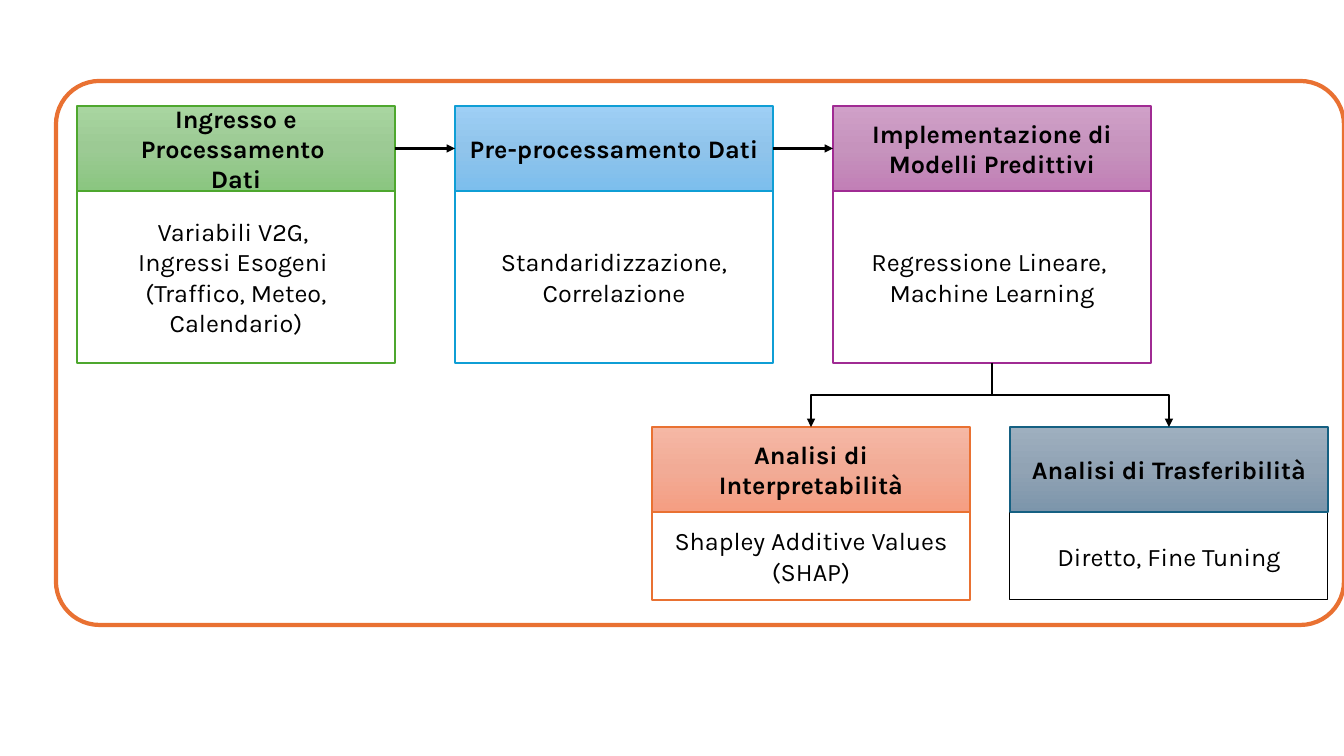
from dataclasses import dataclass

from lxml.etree import SubElement
from pptx import Presentation
from pptx.dml.color import RGBColor
from pptx.enum.shapes import MSO_CONNECTOR as Connector, MSO_SHAPE as Shape
from pptx.enum.text import MSO_ANCHOR as Anchor, PP_ALIGN as Align
from pptx.oxml.ns import qn
from pptx.util import Pt


@dataclass(frozen=True)
class Theme:
    font: str = "Karla"
    size: int = 18
    black: str = "000000"
    white: str = "FFFFFF"
    orange: str = "E97132"
    # outline, then the gradient from top to bottom
    green: tuple = ("4EA72E", "A8D5A0", "9CCA94", "8AC680")
    blue: tuple = ("0F9ED5", "9ECFF5", "90C4EB", "7CBEED")
    purple: tuple = ("A02B93", "D0A0C8", "C693BD", "C17FB6")
    coral: tuple = ("E97132", "F5B8A5", "F2AB96", "F59E82")
    slate: tuple = ("156082", "9EAFBF", "91A3B4", "7C95AB")


THEME = Theme()
CARD_WIDTH, HEADER_HEIGHT = 318, 85
TOP, LEFT, BOTTOM, RIGHT = range(4)


def px(length):
    return round(length * 12192000 / 1344)


def color(value):
    return RGBColor.from_string(value)


def add_box(slide, kind, left, top, width, height, line, line_width, fill=None):
    shape = slide.shapes.add_shape(kind, px(left), px(top), px(width), px(height))
    shape.shadow.inherit = False
    shape.line.color.rgb = color(line)
    shape.line.width = Pt(line_width)
    if fill:
        shape.fill.solid()
        shape.fill.fore_color.rgb = color(fill)
    else:
        shape.fill.background()
    return shape


def fill_gradient(shape, stops):
    """Fill the shape downwards with evenly spaced colours."""
    shape.fill.gradient()
    shape.fill.gradient_angle = 270
    stop_list = shape.element.spPr.find(qn("a:gradFill")).find(qn("a:gsLst"))
    for stop in list(stop_list):
        stop_list.remove(stop)
    for index, value in enumerate(stops):
        position = index * 100000 // (len(stops) - 1)
        stop = SubElement(stop_list, qn("a:gs"), pos=str(position))
        SubElement(stop, qn("a:srgbClr"), val=value)


def write_text(shape, text, bold=False):
    frame = shape.text_frame
    frame.word_wrap = True
    frame.vertical_anchor = Anchor.MIDDLE
    frame.text = text
    for paragraph in frame.paragraphs:
        paragraph.alignment = Align.CENTER
        for run in paragraph.runs:
            run.font.name = THEME.font
            run.font.size = Pt(THEME.size)
            run.font.bold = bold
            run.font.color.rgb = color(THEME.black)


def add_card(slide, left, top, body_height, palette, title, text,
             body_line=None, body_width=1.5, body_fill=THEME.white):
    """Add a titled card and return its header and body."""
    outline, *stops = palette
    body = add_box(slide, Shape.RECTANGLE, left, top + HEADER_HEIGHT, CARD_WIDTH,
                   body_height, body_line or outline, body_width, body_fill)
    write_text(body, text)
    header = add_box(slide, Shape.RECTANGLE, left, top, CARD_WIDTH,
                     HEADER_HEIGHT, outline, 1)
    fill_gradient(header, stops)
    write_text(header, title, bold=True)
    return header, body


def add_arrow(slide, kind, source, source_site, target, target_site):
    arrow = slide.shapes.add_connector(kind, 0, 0, 0, 0)
    arrow.begin_connect(source, source_site)
    arrow.end_connect(target, target_site)
    arrow.line.color.rgb = color(THEME.black)
    arrow.line.width = Pt(2)
    SubElement(arrow.line._get_or_add_ln(), qn("a:tailEnd"), type="triangle")
    SubElement(arrow._element.spPr, qn("a:effectLst"))
    return arrow


def add_branch(slide, source, target):
    """Add an elbow arrow that leaves downwards and arrives from above."""
    arrow = add_arrow(slide, Connector.ELBOW, source, BOTTOM, target, TOP)
    to_right = arrow.end_x > arrow.begin_x
    span, drop = arrow.width, arrow.height
    center_x, center_y = arrow.left + span // 2, arrow.top + drop // 2
    # The elbow runs sideways first, so its frame is turned by a quarter.
    arrow.left, arrow.top = center_x - drop // 2, center_y - span // 2
    arrow.width, arrow.height = drop, span
    frame = arrow._element.spPr.find(qn("a:xfrm"))
    frame.set("rot", "16200000" if to_right else "5400000")
    frame.set("flipH", "1" if to_right else "0")


def main():
    presentation = Presentation()
    presentation.slide_width, presentation.slide_height = px(1344), px(756)
    slide = presentation.slides.add_slide(presentation.slide_layouts[6])

    steps = [
        (THEME.green, "Ingresso e Processamento \vDati",
         "Variabili V2G, \vIngressi Esogeni \v(Traffico, Meteo, Calendario)"),
        (THEME.blue, "Pre-processamento Dati", "Standaridizzazione,\vCorrelazione"),
        (THEME.purple, "Implementazione di Modelli Predittivi",
         "Regressione Lineare, \vMachine Learning"),
    ]
    cards = [add_card(slide, 77 + index * (CARD_WIDTH + 60), 106, 172, *step)
             for index, step in enumerate(steps)]

    interpretability, _ = add_card(
        slide, 652, 427, 88, THEME.coral, "Analisi di Interpretabilità",
        "Shapley Additive Values (SHAP)")
    transferability, _ = add_card(
        slide, 652 + CARD_WIDTH + 40, 427, 88, THEME.slate,
        "Analisi di Trasferibilità", "Diretto, Fine Tuning",
        body_line=THEME.black, body_width=0.75, body_fill=None)

    models_body = cards[-1][1]
    for analysis in (interpretability, transferability):
        add_branch(slide, models_body, analysis)
    for (source, _), (target, _) in zip(cards, cards[1:]):
        add_arrow(slide, Connector.STRAIGHT, source, RIGHT, target, LEFT)

    border = add_box(slide, Shape.ROUNDED_RECTANGLE, 56, 81, 1288, 544,
                     THEME.orange, 3)
    border.adjustments[0] = 0.08
    presentation.save("out.pptx")


if __name__ == "__main__":
    main()
